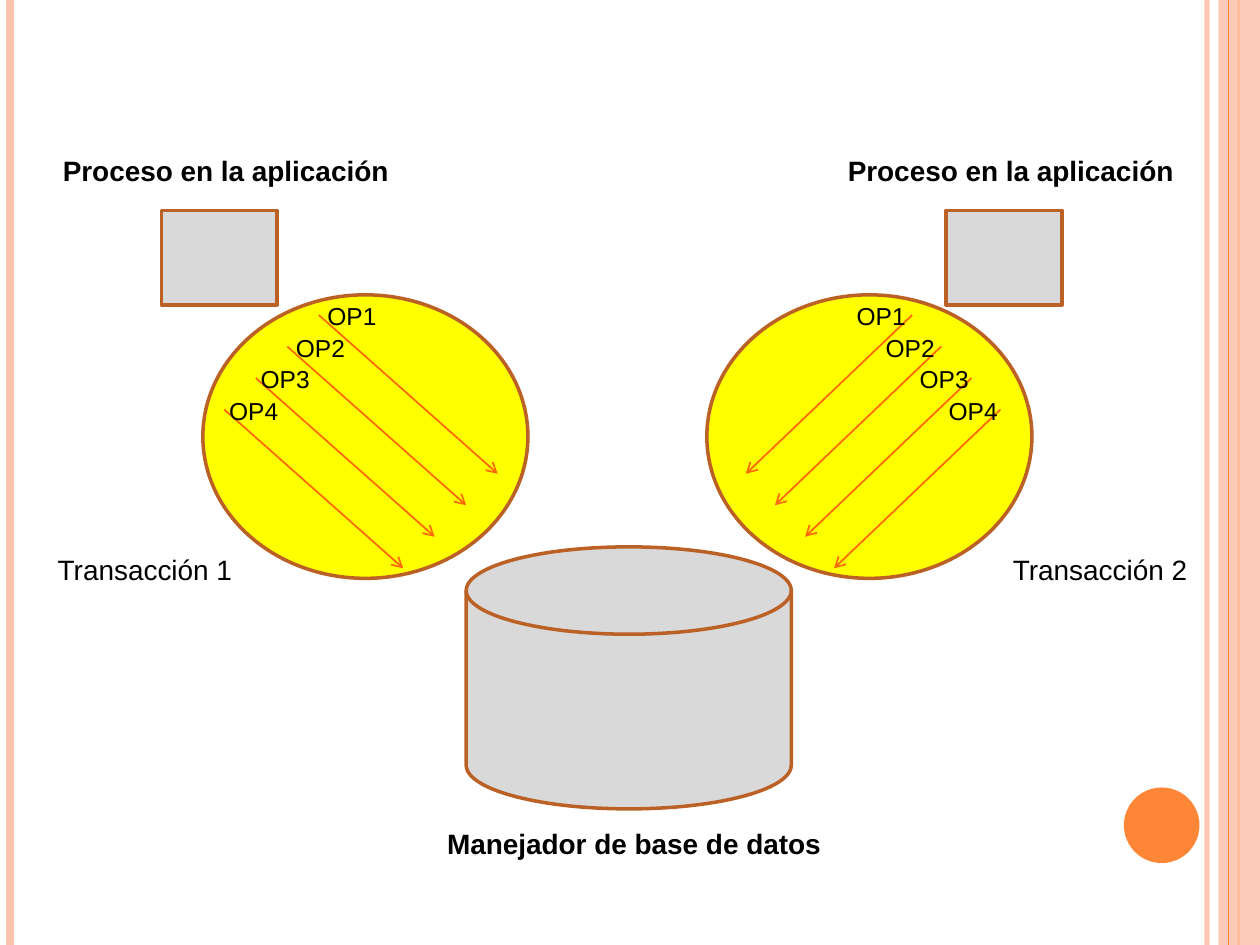
"""Build a slide of two transactions working on one database manager."""
from lxml import etree
from pptx import Presentation
from pptx.dml.color import RGBColor
from pptx.enum.shapes import MSO_CONNECTOR, MSO_SHAPE
from pptx.enum.text import MSO_AUTO_SIZE
from pptx.oxml.ns import qn
from pptx.util import Pt

PX = 9144
STRAIGHT = MSO_CONNECTOR.STRAIGHT
RECTANGLE = MSO_SHAPE.RECTANGLE
OVAL = MSO_SHAPE.OVAL
DISK = MSO_SHAPE.FLOWCHART_MAGNETIC_DISK
FIT_TEXT = MSO_AUTO_SIZE.SHAPE_TO_FIT_TEXT
PINK, ORANGE, ARROW, BROWN = "FEC3AE", "FE8637", "FF6903", "BB6126"
YELLOW, GRAY, BLACK = "FFFF00", "D9D9D9", "000000"
color = RGBColor.from_string


def draw_shape(kind, bounds, fill, outline=None):
    shape = page.shapes.add_shape(kind, *[n * PX for n in bounds])
    shape.shadow.inherit = False
    shape.fill.solid()
    shape.fill.fore_color.rgb = color(fill)
    if outline:
        shape.line.color.rgb = color(outline)
        shape.line.width = Pt(2)
    else:
        shape.line.fill.background()
    return shape


def draw_line(holder, ends, stroke, width):
    line = holder.add_connector(STRAIGHT, *[n * PX for n in ends])
    line.line.color.rgb = color(stroke)
    line.line.width = Pt(width)
    etree.SubElement(line.element.spPr, qn("a:effectLst"))
    return line


deck = Presentation()
deck.slide_width, deck.slide_height = 1000 * PX, 750 * PX
page = deck.slides.add_slide(deck.slide_layouts[6])

rails = [
    draw_line(page.shapes, (x, 0, x, 750), stroke, width)
    for x, stroke, width in ((958, PINK, 3), (8, PINK, 4.5), (983, ORANGE, 1.5))
]
band = draw_shape(RECTANGLE, (967, 0, 33, 750), PINK)
draw_line(page.shapes, (975, 0, 975, 750), ORANGE, 0.75)
draw_shape(OVAL, (892, 625, 60, 60), ORANGE)
for item, opacity in ((rails[0], "93000"), (band, "87000")):
    tint = next(item.element.spPr.iter(qn("a:srgbClr")))
    etree.SubElement(tint, qn("a:alpha"), val=opacity)

for left in (561, 161):
    draw_shape(OVAL, (left, 234, 258, 225), YELLOW, BROWN)
draw_shape(DISK, (370, 434, 258, 208), GRAY, BROWN)

labels = [(page.shapes, "Manejador de base de datos", (345, 651, 317, 37), 16, True)]
sides = (
    (128, 40, 253, -25, 142, (250, 225, 197, 172)),
    (751, 663, 724, 23.4, -132, (670, 693, 720, 743)),
)
for process_left, title_left, start, step, run, label_lefts in sides:
    draw_shape(RECTANGLE, (process_left, 167, 92, 75), GRAY, BROWN)
    labels.append((page.shapes, "Proceso en la aplicación", (title_left, 117, 282, 37), 16, True))
    operations = page.shapes.add_group_shape().shapes
    for index, label_left in enumerate(label_lefts):
        x, y = start + round(step * index), 250 + 25 * index
        arrow = draw_line(operations, (x, y, x + run, y + 126), ARROW, 1)
        stroke = arrow.element.spPr.find(qn("a:ln"))
        etree.SubElement(stroke, qn("a:tailEnd"), type="arrow")
        labels.append((operations, f"OP{index + 1}", (label_left, y - 16, 59, 34), 14, False))
labels += [
    (page.shapes, f"Transacción {number}", (left, 434, 159, 37), 16, False)
    for number, left in ((1, 36), (2, 794))
]

for holder, text, bounds, size, bold in labels:
    box = holder.add_textbox(*[n * PX for n in bounds])
    box.text_frame.word_wrap = False
    box.text_frame.auto_size = FIT_TEXT
    span = box.text_frame.paragraphs[0].add_run()
    span.text = text
    span.font.name = "Arial"
    span.font.size = Pt(size)
    span.font.bold = bold
    span.font.color.rgb = color(BLACK)

deck.save("out.pptx")
